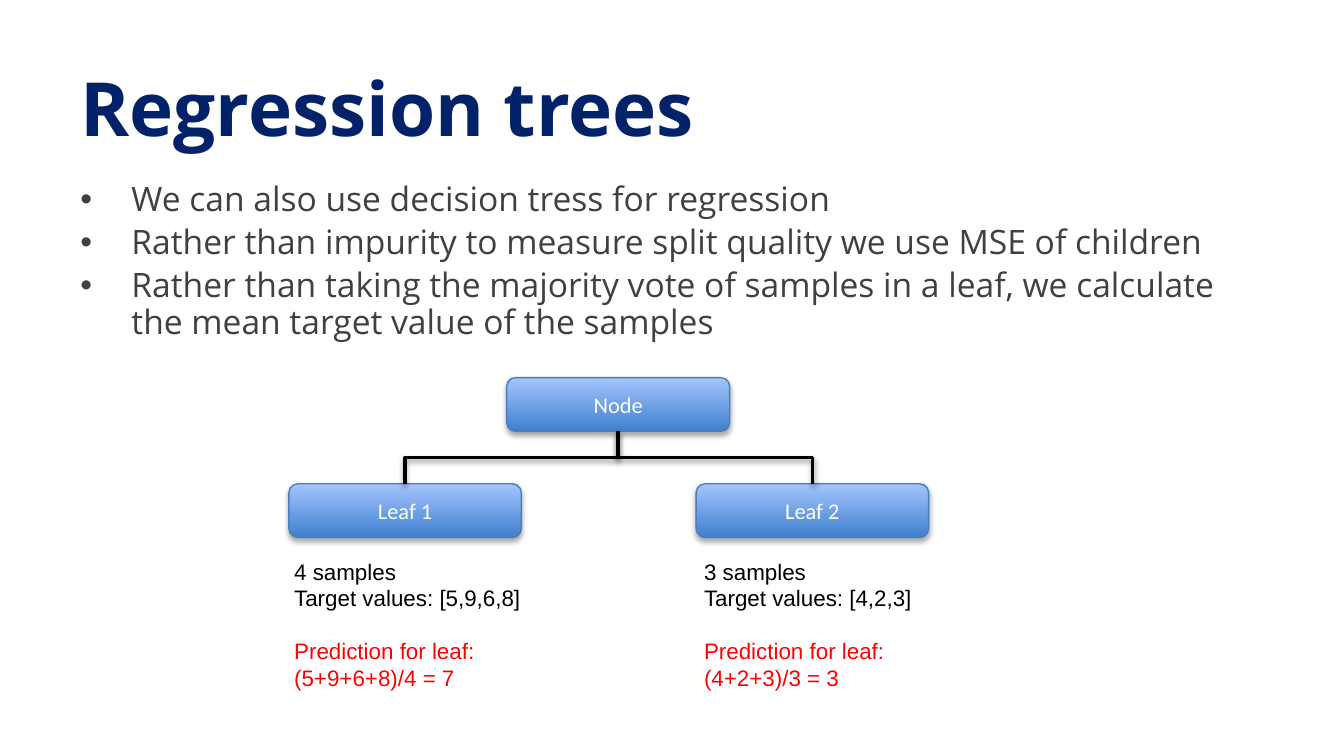
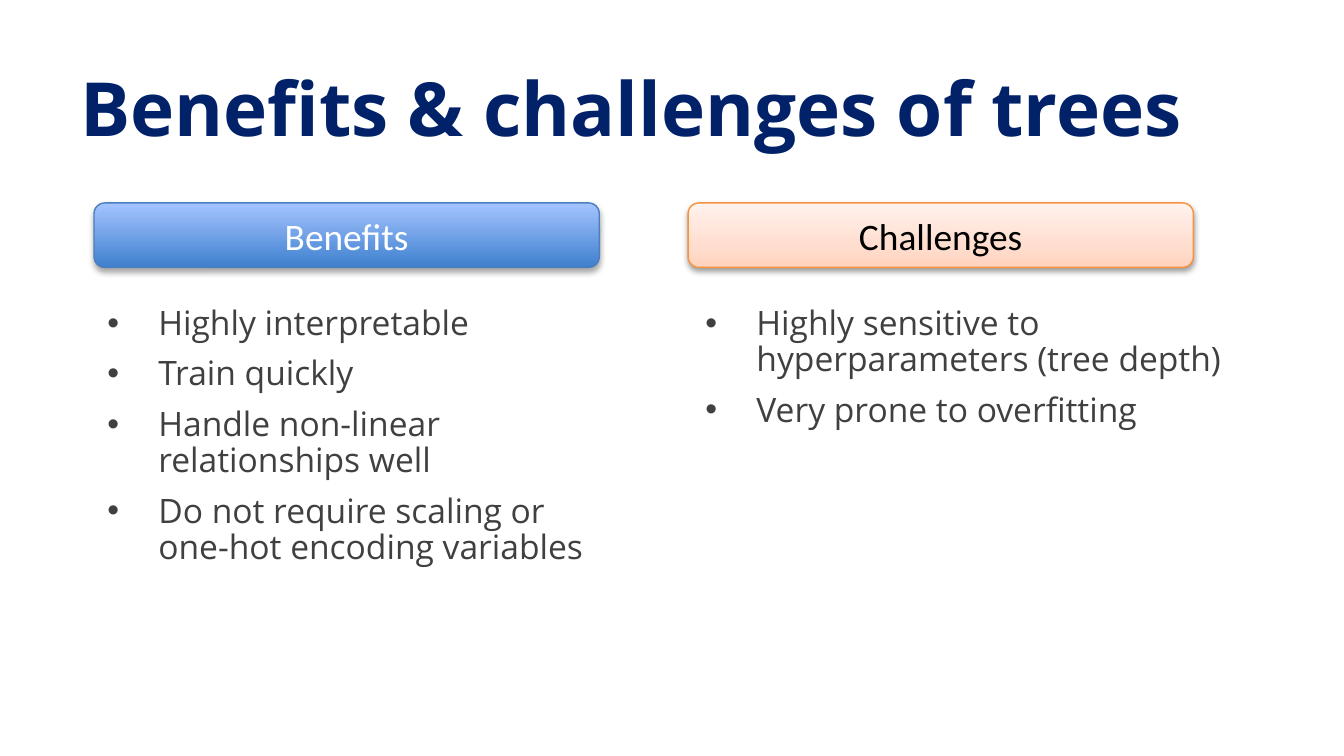
from dataclasses import dataclass

from lxml.etree import SubElement
from pptx import Presentation
from pptx.dml.color import RGBColor
from pptx.enum.shapes import MSO_CONNECTOR, MSO_SHAPE
from pptx.enum.text import MSO_ANCHOR, PP_ALIGN
from pptx.oxml.ns import qn
from pptx.shapes.autoshape import Shape
from pptx.shapes.connector import Connector
from pptx.slide import Slide
from pptx.util import Emu, Inches, Pt

# Shared style
COLOURS = {
    "title": "012169",
    "body": "404040",
    "ink": "000000",
    "paper": "FFFFFF",
    "prediction": "FF0000",
    "blue line": "4B7EBC",
    "orange line": "F69240",
}
HEADING_FONT, LABEL_FONT, FACT_FONT = "Open Sans", "Calibri", "Arial"

# The slide is a grid of 100 columns by 56.25 rows
WIDTH, HEIGHT = Inches(10), Inches(5.625)
COLUMN, ROW = WIDTH / 100, HEIGHT / 56.25


@dataclass(frozen=True)
class Area:
    """A rectangle measured in grid columns and rows."""
    left: float
    top: float
    width: float
    height: float

    @property
    def centre(self) -> float:
        return self.left + self.width / 2

    @property
    def bottom(self) -> float:
        return self.top + self.height

    def lengths(self) -> tuple[Emu, Emu, Emu, Emu]:
        return (Emu(round(self.left * COLUMN)), Emu(round(self.top * ROW)),
                Emu(round(self.width * COLUMN)), Emu(round(self.height * ROW)))


@dataclass(frozen=True)
class TextStyle:
    font: str
    size: float
    colour: str
    bold: bool = False


@dataclass(frozen=True)
class BoxStyle:
    stops: tuple[tuple[int, str], ...]
    line: str
    text: str
    shadow_opacity: int
    shadow_distance: float


@dataclass(frozen=True)
class Leaf:
    label: str
    area: Area
    facts_area: Area
    values: tuple[int, ...]


@dataclass(frozen=True)
class ListColumn:
    heading: str
    style: BoxStyle
    heading_area: Area
    list_area: Area
    items: tuple[str, ...]


TITLE = TextStyle(HEADING_FONT, 40, "title", bold=True)
BODY = TextStyle(HEADING_FONT, 18, "body")
FACT = TextStyle(FACT_FONT, 12, "ink")
PREDICTION = TextStyle(FACT_FONT, 12, "prediction")

BLUE = BoxStyle(((0, "3F80CE"), (100, "A4C4FF")), "blue line", "paper", 35, 1.8)
ORANGE = BoxStyle(((0, "FFD2BD"), (35, "FFDED0"), (100, "FFF2ED")),
                  "orange line", "ink", 38, 1.6)

# Slide content
TREE_POINTS = (
    "We can also use decision tress for regression",
    "Rather than impurity to measure split quality we use MSE of children",
    "Rather than taking the majority vote of samples in a leaf, "
    "we calculate the mean target value of the samples",
)
NODE = Area(37.7, 28.1, 16.6, 4)
LEAVES = (
    Leaf("Leaf 1", Area(21.5, 36, 17.3, 4), Area(20.9, 41, 24.2, 11.1), (5, 9, 6, 8)),
    Leaf("Leaf 2", Area(51.8, 36, 17.3, 4), Area(51.4, 41, 21.7, 11.1), (4, 2, 3)),
)
LIST_COLUMNS = (
    ListColumn("Benefits", BLUE, Area(7, 15.1, 37.6, 4.8), Area(7, 22.3, 38.7, 25.8), (
        "Highly interpretable",
        "Train quickly",
        "Handle non-linear relationships well",
        "Do not require scaling or one-hot encoding variables",
    )),
    ListColumn("Challenges", ORANGE, Area(51.2, 15.1, 37.6, 4.8), Area(51.5, 22.3, 43.5, 25.8), (
        "Highly sensitive to hyperparameters (tree depth)",
        "Very prone to overfitting",
    )),
)


def colour(name: str) -> RGBColor:
    return RGBColor.from_string(COLOURS[name])


def write(para, text: str, style: TextStyle) -> None:
    para.text = text
    para.font.name = style.font
    para.font.size = Pt(style.size)
    para.font.bold = style.bold
    para.font.color.rgb = colour(style.colour)


def add_text(page: Slide, area: Area, lines: tuple[tuple[str, TextStyle], ...]) -> Shape:
    box = page.shapes.add_textbox(*area.lengths())
    frame = box.text_frame
    frame.word_wrap = True
    for index, (text, style) in enumerate(lines):
        para = frame.add_paragraph() if index else frame.paragraphs[0]
        write(para, text, style)
    return box


def add_title(page: Slide, text: str) -> None:
    box = add_text(page, Area(5, 4.2, 90, 7.4), ((text, TITLE),))
    box.text_frame.vertical_anchor = MSO_ANCHOR.MIDDLE


def add_bullets(page: Slide, area: Area, items: tuple[str, ...], space_after: float = 0) -> None:
    box = page.shapes.add_textbox(*area.lengths())
    frame = box.text_frame
    frame.word_wrap = True
    for index, item in enumerate(items):
        para = frame.add_paragraph() if index else frame.paragraphs[0]
        properties = para._p.get_or_add_pPr()
        properties.set("marL", str(Inches(0.38)))
        properties.set("indent", str(-Inches(0.38)))
        SubElement(properties, qn("a:buFont"), typeface="Arial")
        SubElement(properties, qn("a:buChar"), char="•")
        write(para, item, BODY)
        para.line_spacing = 0.9
        para.space_before = Pt(0.2 * BODY.size if index else 0)
        para.space_after = Pt(space_after)


def cast_shadow(part: Shape | Connector, opacity: int, distance: float) -> None:
    effects = SubElement(part._element.spPr, qn("a:effectLst"))
    shadow = SubElement(effects, qn("a:outerShdw"), blurRad=str(Pt(3.1)),
                        dist=str(Pt(distance)), dir="5400000", rotWithShape="0")
    tint = SubElement(shadow, qn("a:srgbClr"), val=COLOURS["ink"])
    SubElement(tint, qn("a:alpha"), val=str(opacity * 1000))


def add_box(page: Slide, area: Area, label: str, style: BoxStyle, size: float) -> None:
    box = page.shapes.add_shape(MSO_SHAPE.ROUNDED_RECTANGLE, *area.lengths())
    # Gradient running upwards
    box.fill.gradient()
    box.fill.gradient_angle = 90
    stop_list = box._element.spPr.find(qn("a:gradFill")).find(qn("a:gsLst"))
    for stop in list(stop_list):
        stop_list.remove(stop)
    for position, shade in style.stops:
        stop = SubElement(stop_list, qn("a:gs"), pos=str(position * 1000))
        SubElement(stop, qn("a:srgbClr"), val=shade)
    box.line.color.rgb = colour(style.line)
    box.line.width = Pt(0.75)
    cast_shadow(box, style.shadow_opacity, style.shadow_distance)
    # Label
    box.text_frame.vertical_anchor = MSO_ANCHOR.MIDDLE
    para = box.text_frame.paragraphs[0]
    write(para, label, TextStyle(LABEL_FONT, size, style.text))
    para.alignment = PP_ALIGN.CENTER


def add_branch(page: Slide, parent: Area, child: Area) -> None:
    """Draw an elbow from parent to child: a sideways elbow turned upright."""
    drop = (child.top - parent.bottom) * ROW
    reach = (child.centre - parent.centre) * COLUMN
    middle_x = parent.centre * COLUMN + reach / 2
    middle_y = parent.bottom * ROW + drop / 2
    side = 1 if reach > 0 else -1
    half_drop, half_reach = side * drop / 2, abs(reach) / 2
    ends = (middle_x + half_drop, middle_y - half_reach,
            middle_x - half_drop, middle_y + half_reach)
    branch = page.shapes.add_connector(MSO_CONNECTOR.ELBOW, *(Emu(round(end)) for end in ends))
    turn = 270 if side > 0 else 90
    branch._element.spPr.find(qn("a:xfrm")).set("rot", str(turn * 60000))
    branch.line.color.rgb = colour("ink")
    branch.line.width = Pt(2)
    cast_shadow(branch, 38, 1.6)


def add_facts(page: Slide, leaf: Leaf) -> None:
    count = len(leaf.values)
    total = "+".join(map(str, leaf.values))
    box = add_text(page, leaf.facts_area, (
        (f"{count} samples", FACT),
        (f"Target values: [{','.join(map(str, leaf.values))}]", FACT),
        (f"Prediction for leaf: ({total})/{count} = {sum(leaf.values) // count}", PREDICTION),
    ))
    box.text_frame.paragraphs[-1].space_before = Pt(14)


def add_page(deck, title: str) -> Slide:
    page = deck.slides.add_slide(deck.slide_layouts[6])
    add_title(page, title)
    return page


def main() -> None:
    deck = Presentation()
    deck.slide_width, deck.slide_height = WIDTH, HEIGHT

    # Regression trees
    page = add_page(deck, "Regression trees")
    add_bullets(page, Area(5, 13.1, 90, 34.8), TREE_POINTS)
    add_box(page, NODE, "Node", BLUE, 12)
    for leaf in LEAVES:
        add_box(page, leaf.area, leaf.label, BLUE, 12)
        add_branch(page, NODE, leaf.area)
        add_facts(page, leaf)

    # Benefits and challenges
    page = add_page(deck, "Benefits & challenges of trees")
    for column in LIST_COLUMNS:
        add_box(page, column.heading_area, column.heading, column.style, 20)
        add_bullets(page, column.list_area, column.items, space_after=4)

    deck.save("out.pptx")


if __name__ == "__main__":
    main()
